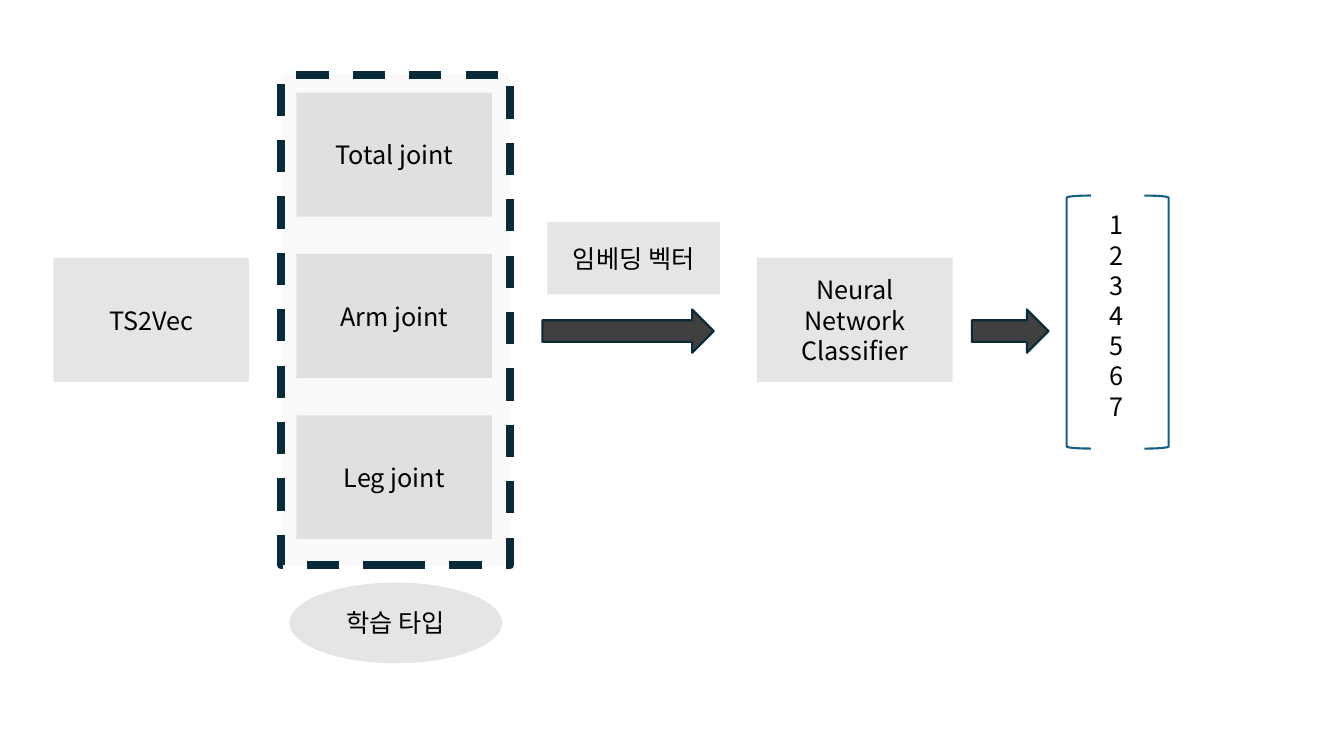
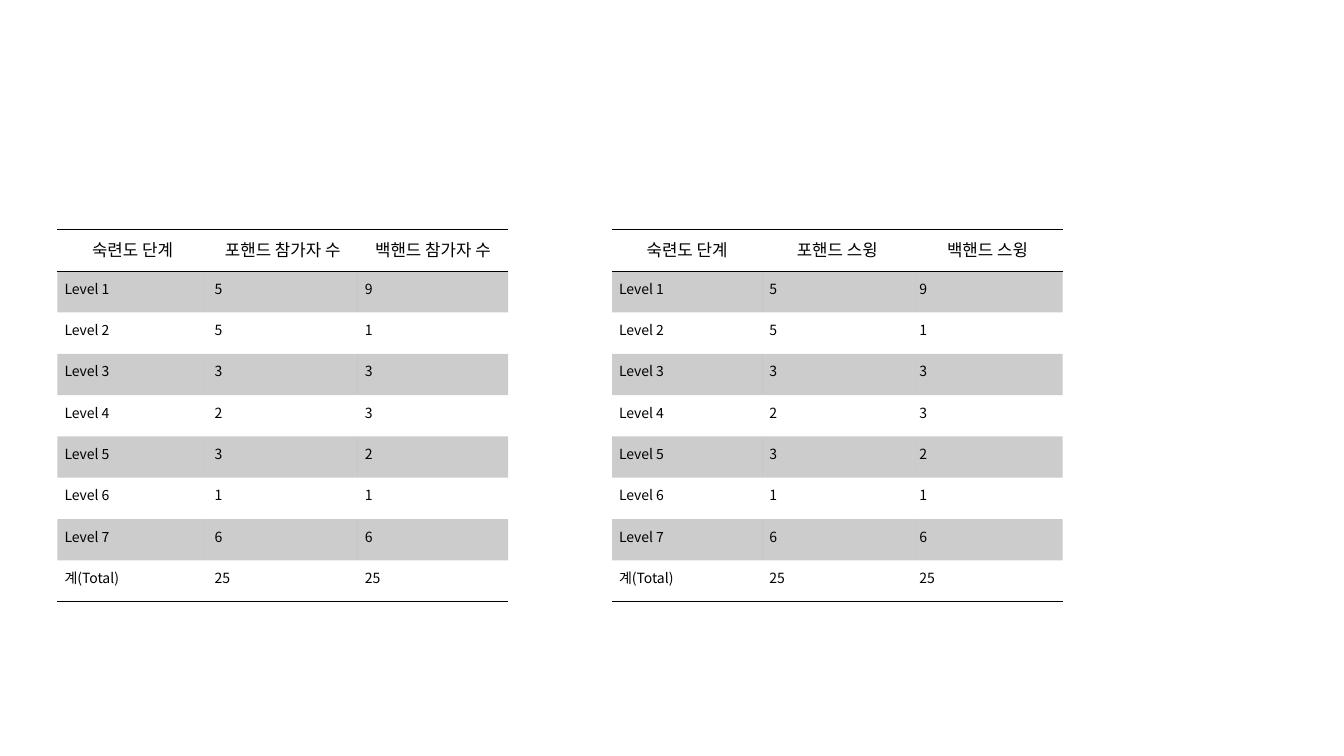
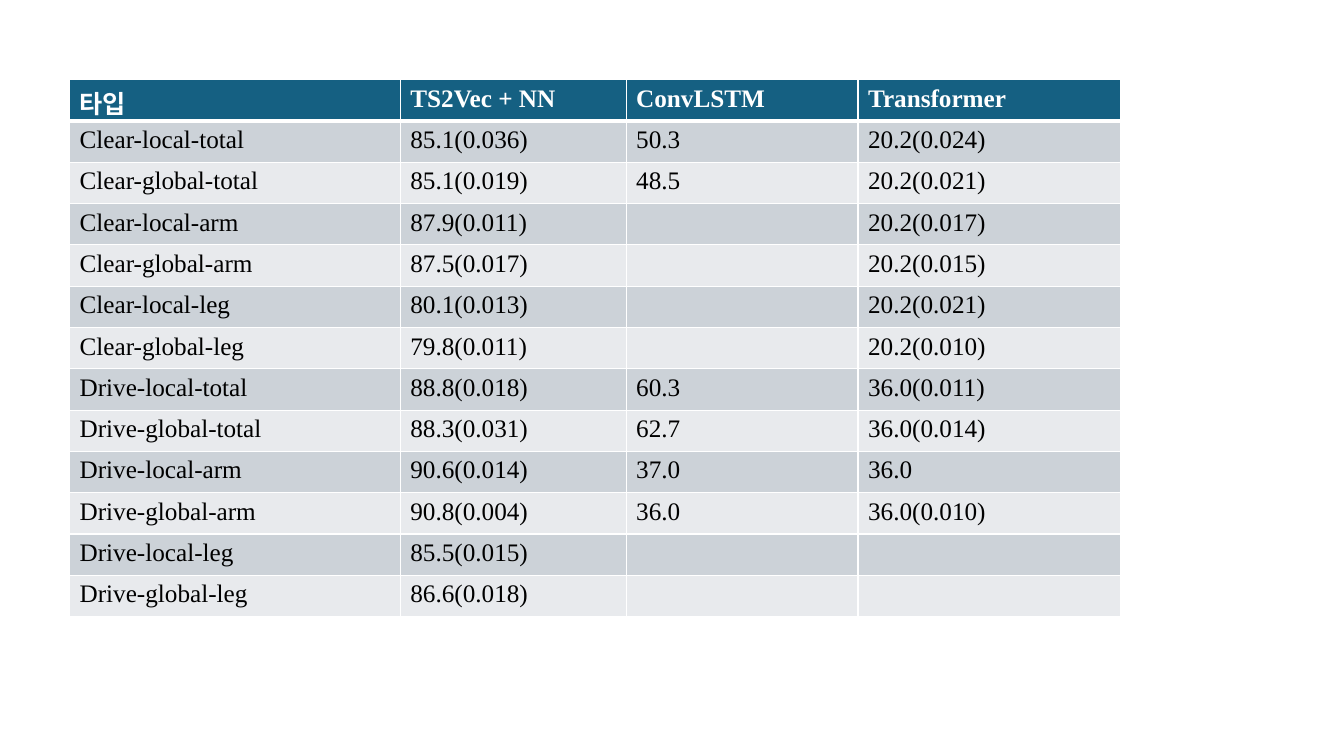
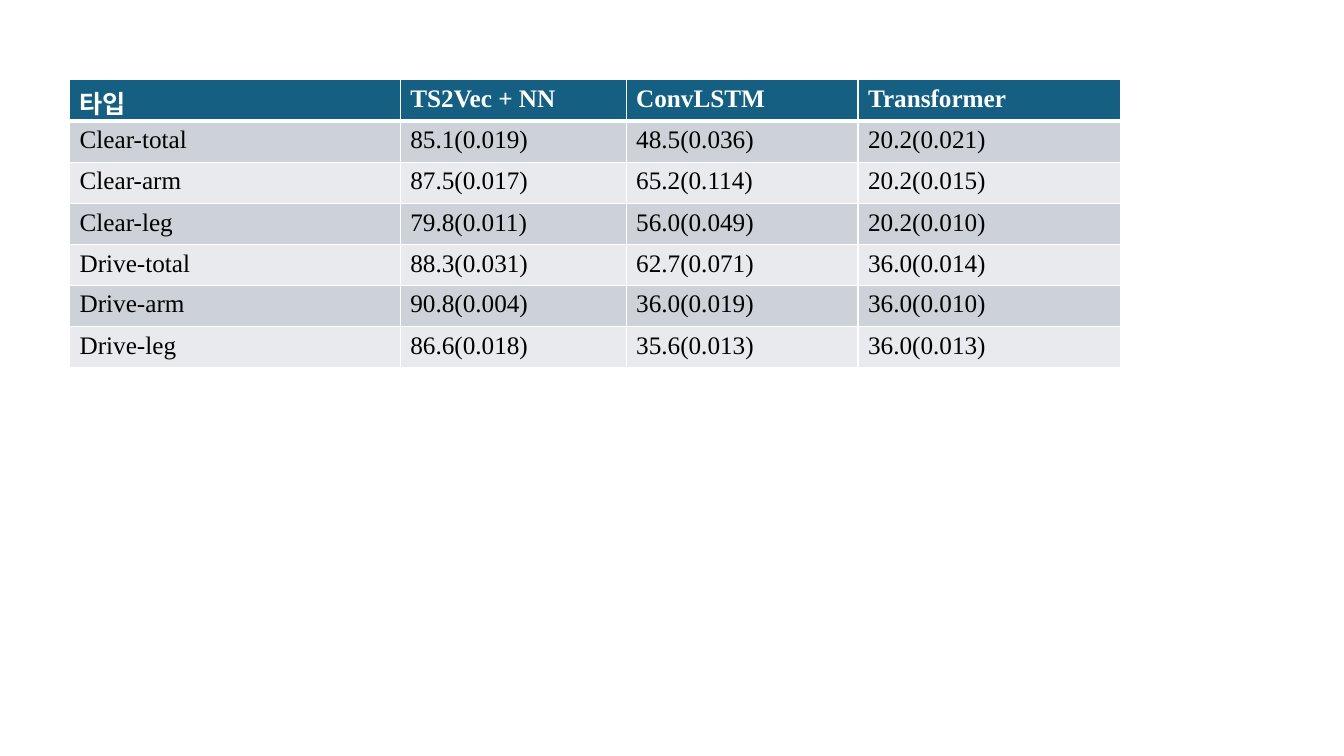
from dataclasses import dataclass

from lxml import etree
from pptx import Presentation
from pptx import util as u
from pptx.dml.color import RGBColor
from pptx.enum import dml, shapes, text
from pptx.oxml.ns import qn

KIND = shapes.MSO_SHAPE
ALIGN = text.PP_ALIGN
PX = 9144
PLAIN = "{2D5ABB26-0587-4C30-8999-92F81FD0307C}"


@dataclass(frozen=True)
class Theme:
    sans: str = "Noto Sans CJK KR"
    serif: str = "Times New Roman"
    black: str = "000000"
    white: str = "FFFFFF"
    navy: str = "092A39"
    blue: str = "156082"
    dark: str = "404040"
    pale: str = "D1D1D1"
    bands: tuple = ("CCD2D8", "E8EAED")
    body: int = 18
    head: int = 12
    small: int = 10
    pitch: float = 21.6


def px(*vals):
    return [u.Emu(v * PX) for v in vals]


def apply(item, **vals):
    for name, val in vals.items():
        setattr(item, name, val)


def paint(fill, node, color, alpha=None):
    if color is None:
        fill.background()
        return
    fill.solid()
    fill.fore_color.rgb = RGBColor.from_string(color)
    if alpha:
        tone = node.find(qn("a:solidFill"))[0]
        etree.SubElement(tone, qn("a:alpha"), val=str(alpha * 1000))


class Deck:
    def __init__(self, theme):
        self.theme = theme
        self.prs = Presentation()
        apply(self.prs, slide_width=u.Inches(13.33), slide_height=u.Inches(7.5))
        self.slide = None

    def page(self):
        self.slide = self.prs.slides.add_slide(self.prs.slide_layouts[6])

    def say(self, frame, words, align=ALIGN.LEFT, face=None, size=None,
            color=None, bold=False):
        th = self.theme
        lines = words.split("\n")
        for i, line in enumerate(lines):
            para = frame.paragraphs[0] if i == 0 else frame.add_paragraph()
            para.alignment = align
            if len(lines) > 1:
                para.line_spacing = u.Pt(th.pitch)
            run = para.add_run()
            run.text = line
            apply(run.font, name=face or th.sans, size=u.Pt(size or th.body), bold=bold)
            run.font.color.rgb = RGBColor.from_string(color or th.black)
            etree.SubElement(run._r.get_or_add_rPr(), qn("a:ea"), typeface=th.sans)

    def shape(self, kind, box, fill=None, alpha=None, line=None, width=1.5, dash=None):
        item = self.slide.shapes.add_shape(kind, *px(*box))
        item.shadow.inherit = False
        paint(item.fill, item._element.spPr, fill, alpha)
        paint(item.line.fill, None, line)
        if line:
            apply(item.line, width=u.Pt(width), dash_style=dash)
        return item

    def block(self, words, box, kind=KIND.RECTANGLE):
        frame = self.shape(kind, box, self.theme.black, 10).text_frame
        apply(frame, word_wrap=True, vertical_anchor=text.MSO_ANCHOR.MIDDLE)
        self.say(frame, words, ALIGN.CENTER)

    def arrow(self, box):
        self.shape(KIND.RIGHT_ARROW, box, self.theme.dark, line=self.theme.navy)

    def bracket(self, box, turn=0):
        self.shape(KIND.LEFT_BRACKET, box, line=self.theme.blue).rotation = turn

    def label(self, words, box):
        frame = self.slide.shapes.add_textbox(*px(*box)).text_frame
        apply(frame, word_wrap=False, auto_size=text.MSO_AUTO_SIZE.SHAPE_TO_FIT_TEXT)
        self.say(frame, words)

    def edge(self, cell, color, sides):
        props = cell._tc.get_or_add_tcPr()
        for side in "LRTB":
            if side in sides:
                line = etree.SubElement(props, qn("a:ln" + side), w=str(int(u.Pt(sides[side]))))
                tone = etree.SubElement(line, qn("a:solidFill"))
                etree.SubElement(tone, qn("a:srgbClr"), val=color)

    def table(self, spot, cols, highs, rows, style):
        frame = self.slide.shapes.add_table(
            len(rows), len(cols), *px(*spot, sum(cols), sum(highs)))
        grid = frame.table
        apply(grid, first_row=False, horz_banding=False)
        grid._tbl.tblPr.find(qn("a:tableStyleId")).text = PLAIN
        for col, wide in zip(grid.columns, cols):
            col.width = u.Emu(wide * PX)
        for i, (row, high, vals) in enumerate(zip(grid.rows, highs, rows)):
            row.height = u.Emu(high * PX)
            for cell, words in zip(row.cells, vals):
                style(cell, i, i == len(rows) - 1, words)

    def count(self, cell, i, last, words):
        th = self.theme
        pad = u.Emu(7 * PX)
        apply(cell, margin_left=pad, margin_right=pad, margin_top=pad, margin_bottom=pad)
        sides = {"T": 1, "B": 1} if i == 0 else {"B": 1} if last else {}
        self.edge(cell, th.black, sides)
        paint(cell.fill, cell._tc.tcPr, th.black if i % 2 else None, 20)
        look = {"align": ALIGN.LEFT, "size": th.small}
        if i == 0:
            look = {"align": ALIGN.CENTER, "size": th.head}
        self.say(cell.text_frame, words, **look)

    def score(self, cell, i, last, words):
        th = self.theme
        top = i == 0
        self.edge(cell, th.white, {"L": 1, "R": 1, "T": 3 if i == 1 else 1, "B": 3 if top else 1})
        paint(cell.fill, cell._tc.tcPr, th.blue if top else th.bands[(i - 1) % 2])
        if words:
            self.say(cell.text_frame, words, face=th.serif, bold=top,
                     color=th.white if top else th.black)


COUNTS = [(5, 9), (5, 1), (3, 3), (2, 3), (3, 2), (1, 1), (6, 6)]
MODELS = ("타입", "TS2Vec + NN", "ConvLSTM", "Transformer")
FULL = [
    ("Clear-local-total", "85.1(0.036)", "50.3", "20.2(0.024)"),
    ("Clear-global-total", "85.1(0.019)", "48.5", "20.2(0.021)"),
    ("Clear-local-arm", "87.9(0.011)", "", "20.2(0.017)"),
    ("Clear-global-arm", "87.5(0.017)", "", "20.2(0.015)"),
    ("Clear-local-leg", "80.1(0.013)", "", "20.2(0.021)"),
    ("Clear-global-leg", "79.8(0.011)", "", "20.2(0.010)"),
    ("Drive-local-total", "88.8(0.018)", "60.3", "36.0(0.011)"),
    ("Drive-global-total", "88.3(0.031)", "62.7", "36.0(0.014)"),
    ("Drive-local-arm", "90.6(0.014)", "37.0", "36.0"),
    ("Drive-global-arm", "90.8(0.004)", "36.0", "36.0(0.010)"),
    ("Drive-local-leg", "85.5(0.015)", "", ""),
    ("Drive-global-leg", "86.6(0.018)", "", ""),
]
BRIEF = [
    ("Clear-total", "85.1(0.019)", "48.5(0.036)", "20.2(0.021)"),
    ("Clear-arm", "87.5(0.017)", "65.2(0.114)", "20.2(0.015)"),
    ("Clear-leg", "79.8(0.011)", "56.0(0.049)", "20.2(0.010)"),
    ("Drive-total", "88.3(0.031)", "62.7(0.071)", "36.0(0.014)"),
    ("Drive-arm", "90.8(0.004)", "36.0(0.019)", "36.0(0.010)"),
    ("Drive-leg", "86.6(0.018)", "35.6(0.013)", "36.0(0.013)"),
]


def flow(deck):
    th = deck.theme
    deck.page()
    deck.shape(KIND.RECTANGLE, (279, 74, 227, 487), th.pale, 9,
               th.navy, 5.75, dml.MSO_LINE.DASH)
    for words, left in (("TS2Vec", 53), ("Neural Network\nClassifier", 751)):
        deck.block(words, (left, 256, 194, 123))
    for i, part in enumerate(("Total", "Arm", "Leg")):
        deck.block(part + " joint", (294, 92 + 160 * i, 194, 123))
    deck.block("임베딩 벡터", (543, 220, 171, 72))
    deck.block("학습 타입", (287, 578, 211, 80), KIND.OVAL)
    for left, wide in ((538, 170), (964, 76)):
        deck.arrow((left, 307, wide, 43))
    for left, turn in ((1058, 0), (1135, 180)):
        deck.bracket((left, 194, 24, 251), turn)
    deck.label("\n".join(str(n) for n in range(1, 8)), (1091, 203, 34, 222))


def counts(deck):
    deck.page()
    body = [(f"Level {i}", str(fore), str(back))
            for i, (fore, back) in enumerate(COUNTS, 1)]
    total = ("계(Total)", *(str(sum(col)) for col in zip(*COUNTS)))
    for left, noun in ((57, "참가자 수"), (607, "스윙")):
        head = ("숙련도 단계", "포핸드 " + noun, "백핸드 " + noun)
        rows = [head, *body, total]
        deck.table((left, 228), [149] * 3, [41] * len(rows), rows, deck.count)


def scores(deck, body, highs):
    deck.page()
    deck.table((69, 79), [328, 224, 230, 260], highs, [MODELS, *body], deck.score)


def main():
    deck = Deck(Theme())
    flow(deck)
    counts(deck)
    scores(deck, FULL, [41] * 13)
    scores(deck, BRIEF, [41] * 4 + [38] + [41] * 2)
    deck.prs.save("out.pptx")


if __name__ == "__main__":
    main()
